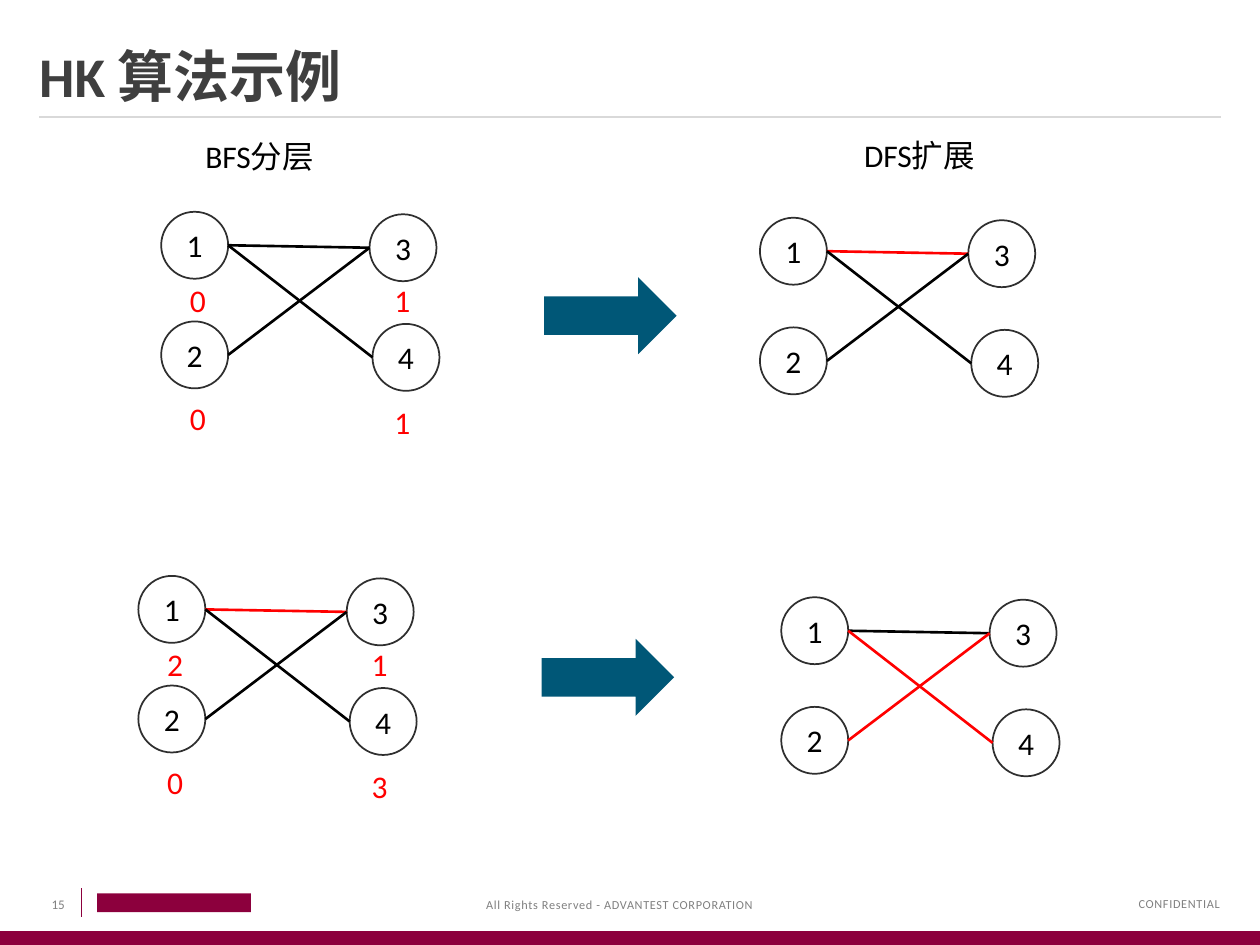
"""Build the HK algorithm example slide: BFS layering and DFS extension."""
from dataclasses import dataclass

from lxml.etree import SubElement
from pptx import Presentation
from pptx.dml.color import RGBColor
from pptx.enum.shapes import MSO_CONNECTOR, MSO_SHAPE
from pptx.enum.text import MSO_ANCHOR, MSO_AUTO_SIZE, PP_ALIGN
from pptx.oxml.ns import qn
from pptx.util import Cm, Pt


@dataclass(frozen=True)
class Theme:
    font: str = "Calibri"
    brand: str = "8C003D"
    title: str = "3F3F3F"
    text: str = "000000"
    accent: str = "FF0000"
    outline: str = "2F2F2F"
    arrow: str = "005777"
    rule: str = "D9D9D9"
    muted: str = "808080"
    title_size: float = 32
    body_size: float = 18
    number_size: float = 7.5
    footer_size: float = 7


NODE = 1.35
NODES = {"1": (0, 0), "2": (0, 2.21), "3": (4.2, 0.05), "4": (4.26, 2.26)}
EDGES = (("1", "3"), ("1", "4"), ("2", "3"))
LEVEL_SPOTS = ((0.58, 1.4), (0.58, 3.78), (4.7, 1.4), (4.7, 3.86))
GRAPHS = (
    (3.25, 4.27, "", "0011"),
    (15.32, 4.39, "13", ""),
    (2.79, 11.61, "13", "2013"),
    (15.75, 12.04, "14 23", ""),
)
ARROWS = ((10.97, 5.59), (10.92, 12.88))
HEADINGS = (("BFS分层", 4.14, 2.77), ("DFS扩展", 17.42, 2.74))


class Deck:
    def __init__(self, theme):
        self.t = theme
        self.prs = Presentation()
        self.prs.slide_width, self.prs.slide_height = Cm(25.4), Cm(19.05)
        self.s = self.prs.slides.add_slide(self.prs.slide_layouts[5])

    def set_text(self, sp, text, size, color, bold=False, align=PP_ALIGN.LEFT,
                 anchor=MSO_ANCHOR.TOP, spacing=None):
        tf = sp.text_frame
        tf.text = text
        tf.word_wrap = True
        tf.auto_size = MSO_AUTO_SIZE.NONE
        tf.vertical_anchor = anchor
        tf.margin_left = tf.margin_right = tf.margin_top = tf.margin_bottom = 0
        p = tf.paragraphs[0]
        p.alignment = align
        r = p.runs[0]
        r.font.name, r.font.size, r.font.bold = self.t.font, Pt(size), bold
        r.font.color.rgb = RGBColor.from_string(color)
        if spacing:
            r._r.get_or_add_rPr().set("spc", str(spacing))
        return p

    def title(self, text, x, y, w, h):
        sp = self.s.shapes.title
        sp.left, sp.top, sp.width, sp.height = Cm(x), Cm(y), Cm(w), Cm(h)
        p = self.set_text(sp, text, self.t.title_size, self.t.title, bold=True,
                          anchor=MSO_ANCHOR.BOTTOM)
        p.line_spacing = 0.85

    def text(self, text, x, y, w, h, size, color, **style):
        sp = self.s.shapes.add_textbox(Cm(x), Cm(y), Cm(w), Cm(h))
        self.set_text(sp, text, size, color, **style)

    def shape(self, kind, x, y, w, h, fill=None, line=None):
        sp = self.s.shapes.add_shape(kind, Cm(x), Cm(y), Cm(w), Cm(h))
        sp.shadow.inherit = False
        if fill:
            sp.fill.solid()
            sp.fill.fore_color.rgb = RGBColor.from_string(fill)
        else:
            sp.fill.background()
        if line:
            sp.line.color.rgb = RGBColor.from_string(line)
            sp.line.width = Pt(1)
        else:
            sp.line.fill.background()
        return sp

    def line(self, x1, y1, x2, y2, color, width):
        cx = self.s.shapes.add_connector(MSO_CONNECTOR.STRAIGHT, Cm(x1), Cm(y1), Cm(x2), Cm(y2))
        cx.line.color.rgb = RGBColor.from_string(color)
        cx.line.width = Pt(width)
        SubElement(cx._element.spPr, qn("a:effectLst"))

    def graph(self, x, y, matched, levels):
        for name, (dx, dy) in NODES.items():
            sp = self.shape(MSO_SHAPE.OVAL, x + dx, y + dy, NODE, NODE, line=self.t.outline)
            self.set_text(sp, name, self.t.body_size, self.t.text,
                          align=PP_ALIGN.CENTER, anchor=MSO_ANCHOR.MIDDLE)
        for a, b in EDGES:
            (ax, ay), (bx, by) = NODES[a], NODES[b]
            color = self.t.accent if a + b in matched.split() else self.t.text
            self.line(x + ax + NODE, y + ay + NODE / 2, x + bx, y + by + NODE / 2, color, 1.5)
        for level, (dx, dy) in zip(levels, LEVEL_SPOTS):
            self.text(level, x + dx, y + dy, 0.51, 0.66, self.t.body_size, self.t.accent)

    def frame(self):
        t = self.t
        self.shape(MSO_SHAPE.RECTANGLE, 0, 18.77, 25.4, 0.28, fill=t.brand)
        self.line(0.79, 2.36, 24.61, 2.36, t.rule, 1)
        self.shape(MSO_SHAPE.RECTANGLE, 1.96, 18.01, 3.1, 0.38, fill=t.brand)
        self.line(1.65, 17.91, 1.65, 18.49, t.brand, 0.5)
        self.text("15", 1.04, 18.06, 0.51, 0.33, t.number_size, t.muted, anchor=MSO_ANCHOR.MIDDLE)
        self.text("CONFIDENTIAL", 20.37, 18.06, 4.22, 0.3, t.footer_size, t.muted,
                  align=PP_ALIGN.RIGHT, anchor=MSO_ANCHOR.MIDDLE, spacing=40)
        self.text("All Rights Reserved - ADVANTEST CORPORATION", 9.8, 18.08, 8.03, 0.3,
                  t.footer_size, t.muted, anchor=MSO_ANCHOR.MIDDLE, spacing=40)


def main():
    deck = Deck(Theme())
    deck.frame()
    deck.title("HK 算法示例", 0.79, 0.41, 23.83, 1.78)
    for graph in GRAPHS:
        deck.graph(*graph)
    for x, y in ARROWS:
        deck.shape(MSO_SHAPE.RIGHT_ARROW, x, y, 2.67, 1.55, fill=deck.t.arrow)
    for text, x, y in HEADINGS:
        deck.text(text, x, y, 4.22, 0.79, deck.t.body_size, deck.t.text)
    deck.prs.save("out.pptx")


if __name__ == "__main__":
    main()
